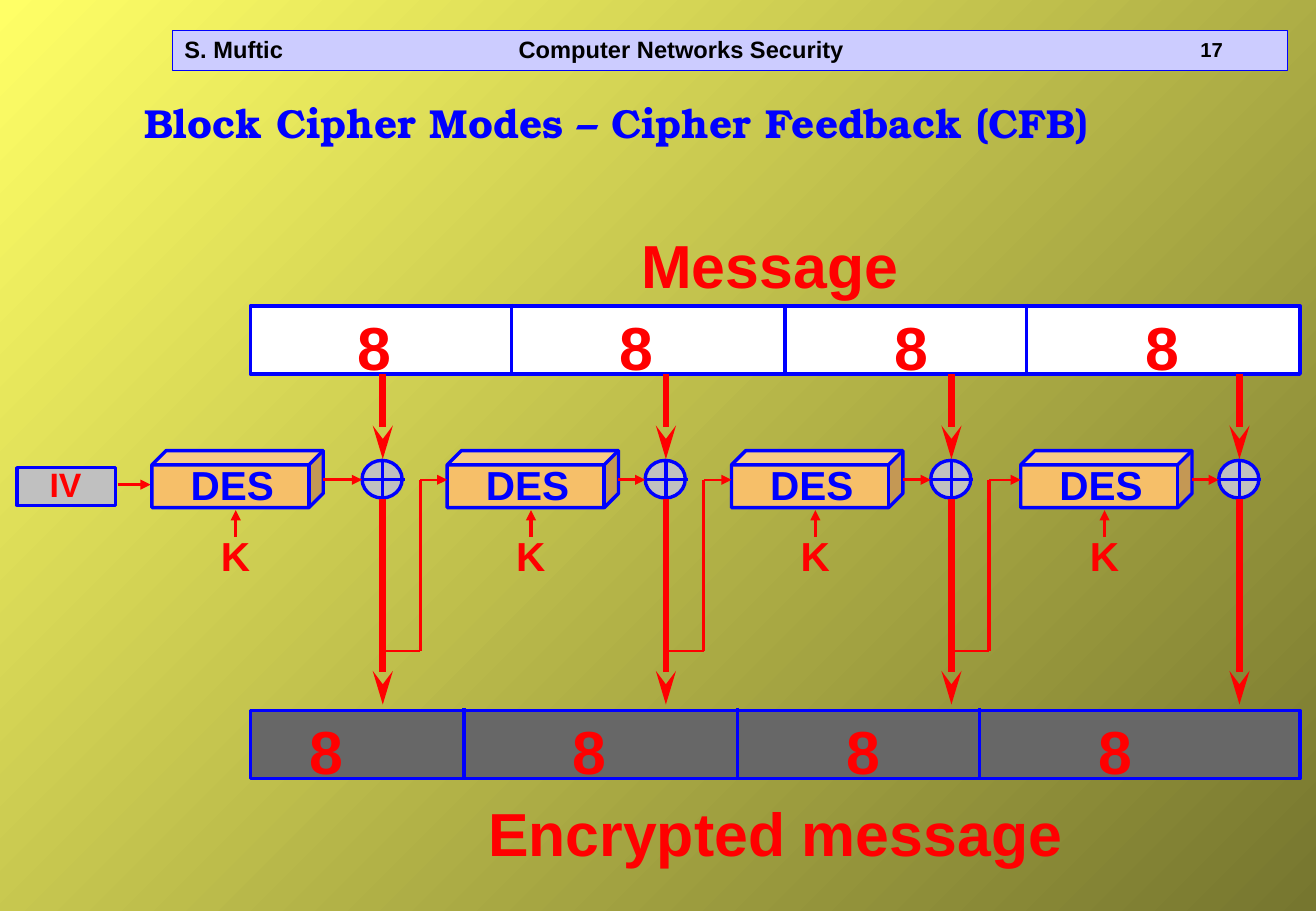
from lxml import etree
from pptx import Presentation
from pptx.dml.color import RGBColor
from pptx.enum.shapes import MSO_CONNECTOR, MSO_SHAPE
from pptx.enum.text import MSO_ANCHOR, MSO_AUTO_SIZE
from pptx.oxml.ns import qn
from pptx.util import Inches, Pt

# Content
COLORS = {
    "dark": "76762F", "light": "FFFF66", "header": "CCCCFF", "black": "000000",
    "blue": "0000FF", "red": "FF0000", "white": "FFFFFF", "slate": "676767",
    "gray": "C0C0C0", "orange": "F6BF69",
}
AUTHOR, COURSE, PAGE_NUMBER = "S. Muftic", "Computer Networks Security", "17"
TITLE = "Block Cipher Modes – Cipher Feedback (CFB)"
HEADINGS = [("Message", 5.18, 1.83, 2.31), ("Encrypted message", 3.92, 6.5, 4.93)]
BLOCK_SIZES = [("8", 2.84), ("8", 5), ("8", 7.26), ("8", 9.33)]
DIVIDERS = [4.21, 6.46, 8.45]
BARS = [(2.5, "white", 0), (5.83, "slate", -0.39)]  # top, fill, shift of contents
STAGES = [(1.25, 3.15), (3.68, 5.48), (6.02, 7.83), (8.4, 10.2)]  # DES left, XOR centre

# Geometry shared by all stages
DES_TOP, DES_WIDTH, DES_HEIGHT = 3.71, 1.41, 0.47
AXIS, RADIUS = 3.95, 0.17
TAP, FEEDBACK_OFFSET = 5.36, 0.31

deck = Presentation()
deck.slide_width, deck.slide_height = Inches(10.83), Inches(7.5)
page = deck.slides.add_slide(deck.slide_layouts[6])


def rgb(name):
    return RGBColor.from_string(COLORS[name])


def add_figure(kind, left, top, width, height, fill, weight=2):
    figure = page.shapes.add_shape(
        kind, Inches(left), Inches(top), Inches(width), Inches(height))
    figure.shadow.inherit = False
    figure.fill.solid()
    figure.fill.fore_color.rgb = rgb(fill)
    figure.line.color.rgb = rgb("blue")
    figure.line.width = Pt(weight)
    return figure


def add_text(text, left, top, width, height, size, color="red", font="Arial"):
    box = page.shapes.add_textbox(
        Inches(left), Inches(top), Inches(width), Inches(height))
    box.text_frame.word_wrap = False
    box.text_frame.auto_size = MSO_AUTO_SIZE.SHAPE_TO_FIT_TEXT
    span = box.text_frame.paragraphs[0].add_run()
    span.text = text
    span.font.size, span.font.bold, span.font.name = Pt(size), True, font
    span.font.color.rgb = rgb(color)
    return box


def add_line(x1, y1, x2, y2, color="red", weight=2, head=None):
    line = page.shapes.add_connector(
        MSO_CONNECTOR.STRAIGHT, Inches(x1), Inches(y1), Inches(x2), Inches(y2))
    line.line.color.rgb = rgb(color)
    line.line.width = Pt(weight)
    if head:
        length = "lg" if head == "stealth" else "med"
        etree.SubElement(line.line._get_or_add_ln(), qn("a:tailEnd"),
                         type=head, w="med", len=length)
    etree.SubElement(line._element.spPr, qn("a:effectLst"))


# Background
background = page.background.fill
background.gradient()
background.gradient_angle = 135
for stop, name in zip(background.gradient_stops, ("dark", "light")):
    stop.color.rgb = rgb(name)

# Header strip, with the course name at a tab stop
add_figure(MSO_SHAPE.RECTANGLE, 1.42, 0.25, 9.17, 0.33, "header", 0.25)
header = add_text(f"{AUTHOR}\t{COURSE}", 1.42, 0.25, 9, 0.33, 14, "black")
header.text_frame.auto_size = MSO_AUTO_SIZE.NONE
header.text_frame.word_wrap = True
header.text_frame.vertical_anchor = MSO_ANCHOR.MIDDLE
header_para = header.text_frame.paragraphs[0]
header_para.line_spacing = 0.9
tabs = etree.SubElement(header_para._p.get_or_add_pPr(), qn("a:tabLst"))
etree.SubElement(tabs, qn("a:tab"), pos=str(Inches(2.75)), algn="l")
add_text(PAGE_NUMBER, 9.78, 0.26, 1, 0.3, 12, "black")

# Title and headings
add_text(TITLE, 1.09, 0.76, 7.98, 0.5, 24, "blue", "TeX Gyre Bonum")
for heading, left, top, width in HEADINGS:
    add_text(heading, left, top, width, 0.7, 36)

# Plain and encrypted message bars
for top, fill, shift in BARS:
    add_figure(MSO_SHAPE.RECTANGLE, 2.06, top + 0.02, 8.64, 0.56, fill)
    for x in DIVIDERS:
        add_line(x + shift, top, x + shift, top + 0.58, "blue")
    for size, left in BLOCK_SIZES:
        add_text(size, left + shift, top, 0.62, 0.7, 36)

# Initialisation vector
add_figure(MSO_SHAPE.RECTANGLE, 0.14, 3.85, 0.81, 0.31, "gray")
add_text("IV", 0.31, 3.77, 0.46, 0.43, 20)
add_line(0.97, 3.99, 1.24, 3.99, head="triangle")

# Cipher stages
for des, xor in STAGES:
    # Encryption block and its key
    add_figure(MSO_SHAPE.CUBE, des, DES_TOP, DES_WIDTH, DES_HEIGHT, "orange")
    add_text("DES", des + 0.22, DES_TOP + 0.03, 0.89, 0.5, 24, "blue")
    add_text("K", des + 0.47, 4.32, 0.44, 0.5, 24)
    add_line(des + 0.69, 4.42, des + 0.69, 4.2, head="triangle")
    # XOR node with its input and output
    add_line(xor, 3.08, xor, 3.78, weight=4, head="stealth")
    add_figure(MSO_SHAPE.OVAL, xor - RADIUS, 3.79, 0.33, 0.31, "gray")
    add_line(xor, 3.78, xor, 4.11, "blue")
    add_line(xor - 0.18, AXIS, xor + 0.18, AXIS, "blue")
    add_line(xor, 4.11, xor, 5.8, weight=4, head="stealth")
    add_line(des + DES_WIDTH, AXIS, xor - RADIUS, AXIS, head="triangle")

# Feedback from each stage into the next
for (_, xor), (next_des, _) in zip(STAGES, STAGES[1:]):
    riser = xor + FEEDBACK_OFFSET
    add_line(xor, TAP, riser, TAP, weight=1.5)
    add_line(riser, TAP, riser, AXIS, weight=2.25)
    add_line(riser, AXIS, next_des, AXIS, weight=1.5, head="triangle")

deck.save("out.pptx")
